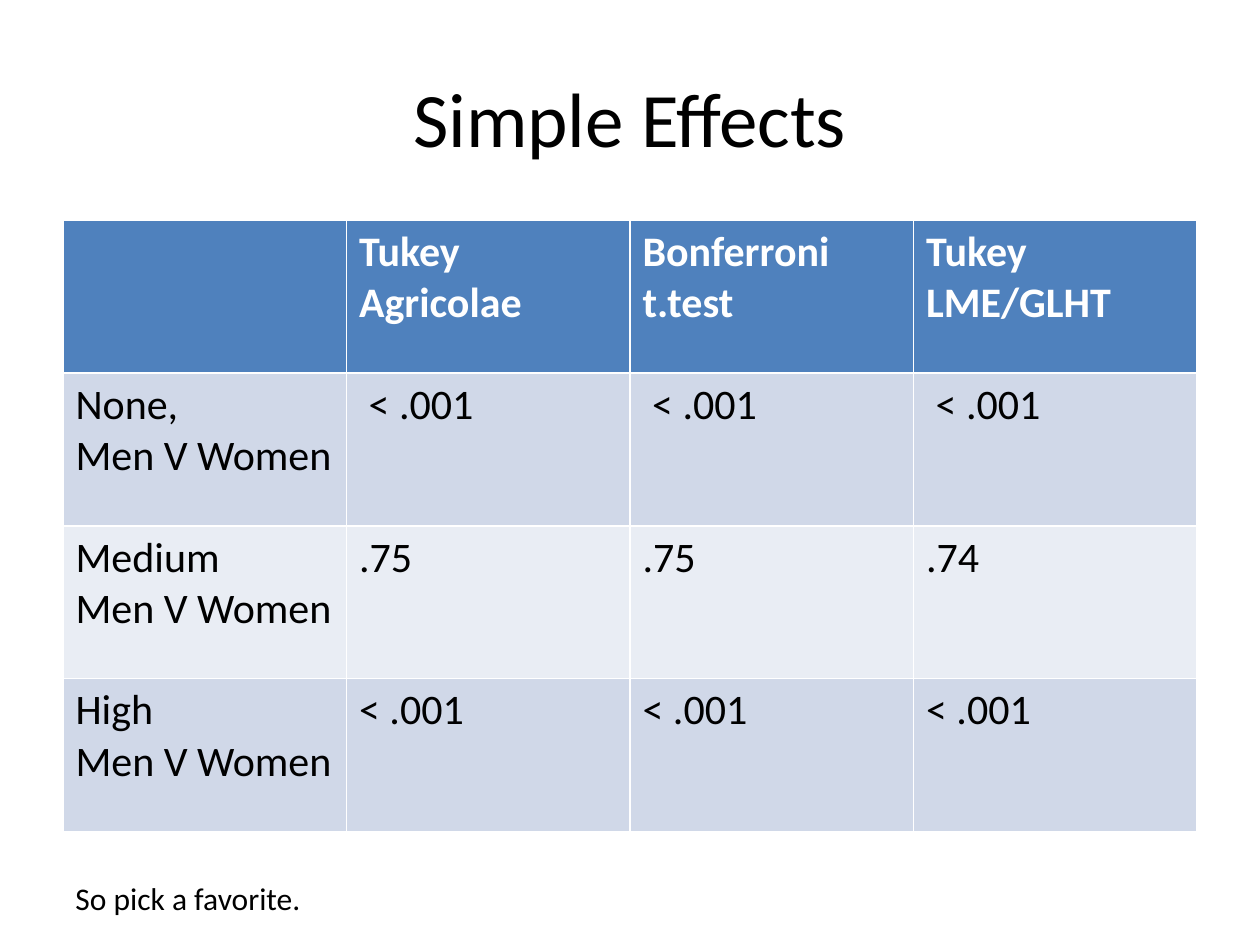
from pptx import Presentation
from pptx.dml.color import RGBColor
from pptx.enum.text import MSO_ANCHOR, MSO_AUTO_SIZE, PP_ALIGN
from pptx.util import Inches, Pt

CENTER, LEFT = PP_ALIGN.CENTER, PP_ALIGN.LEFT
MIDDLE = MSO_ANCHOR.MIDDLE
FIT_SHAPE = MSO_AUTO_SIZE.SHAPE_TO_FIT_TEXT
TITLE_ONLY = 5

COLORS = {
    "text": "000000",
    "header_text": "FFFFFF",
    "header": "4F81BD",
    "odd_band": "D0D8E8",
    "even_band": "E9EDF4",
}

ROWS = [
    ["", "Tukey\nAgricolae", "Bonferroni\nt.test", "Tukey\nLME/GLHT"],
    ["None,\nMen V Women", " < .001", " < .001", " < .001"],
    ["Medium\nMen V Women", ".75", ".75", ".74"],
    ["High\nMen V Women", "< .001", "< .001", "< .001"],
]


class SlideBuilder:
    font_name = "Calibri"

    def __init__(self, prs):
        self.s = prs.slides.add_slide(prs.slide_layouts[TITLE_ONLY])

    def fill_text(self, tf, text, color="text", align=LEFT, **fmt):
        tf.text = text
        for p in tf.paragraphs:
            p.alignment = align
            for name, value in {"name": self.font_name, **fmt}.items():
                setattr(p.font, name, value)
            p.font.color.rgb = RGBColor.from_string(COLORS[color])

    def title(self, text, left, top, width, height):
        sp = self.s.shapes.title
        box = {"left": left, "top": top, "width": width, "height": height}
        for name, value in box.items():
            setattr(sp, name, Inches(value))
        sp.text_frame.vertical_anchor = MIDDLE
        self.fill_text(sp.text_frame, text, align=CENTER, size=Pt(44))

    def table(self, rows, left, top, width, height):
        box = [Inches(v) for v in (left, top, width, height)]
        table = self.s.shapes.add_table(len(rows), len(rows[0]), *box).table
        for i, row in enumerate(rows):
            header = i == 0
            fill = "header" if header else "odd_band" if i % 2 else "even_band"
            color = "header_text" if header else "text"
            for j, text in enumerate(row):
                cell = table.cell(i, j)
                cell.fill.solid()
                cell.fill.fore_color.rgb = RGBColor.from_string(COLORS[fill])
                self.fill_text(cell.text_frame, text, color, size=Pt(24), bold=header)

    def note(self, text, left, top, width, height):
        box = [Inches(v) for v in (left, top, width, height)]
        tf = self.s.shapes.add_textbox(*box).text_frame
        tf.word_wrap = False
        tf.auto_size = FIT_SHAPE
        self.fill_text(tf, text, size=Pt(18))


def main():
    prs = Presentation()
    prs.slide_width, prs.slide_height = Inches(10), Inches(7.5)
    slide = SlideBuilder(prs)
    slide.title("Simple Effects", 0.5, 0.3, 9, 1.25)
    slide.table(ROWS, 0.5, 1.75, 9, 4.85)
    slide.note("So pick a favorite.", 0.5, 6.93, 2.02, 0.4)
    prs.save("out.pptx")


if __name__ == "__main__":
    main()
